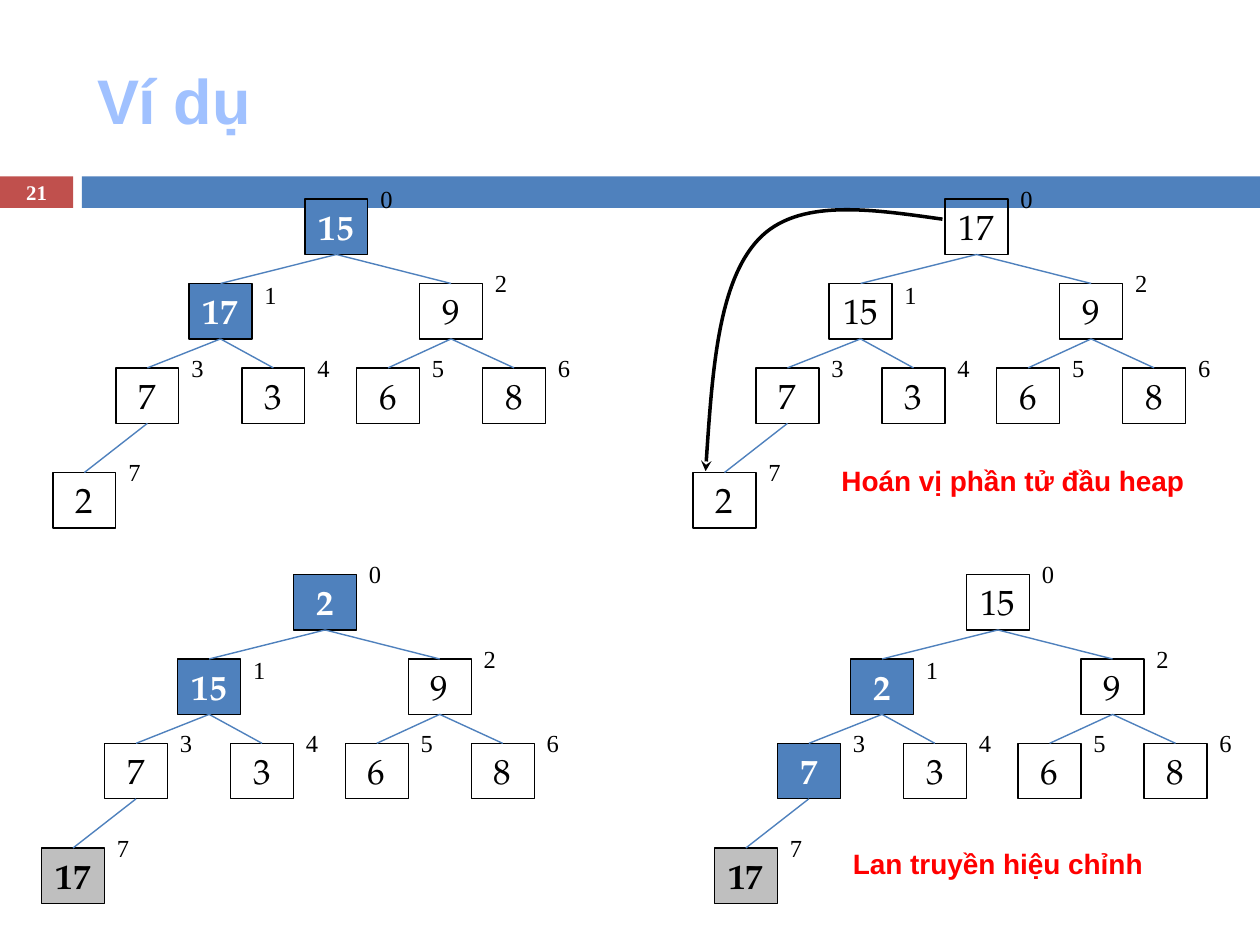
import lxml.etree
import pptx
import pptx.dml.color
import pptx.enum.shapes
import pptx.enum.text
import pptx.oxml
import pptx.oxml.ns
import pptx.util

Inches = pptx.util.Inches
Pt = pptx.util.Pt
qn = pptx.oxml.ns.qn
Anchor = pptx.enum.text.MSO_ANCHOR
Align = pptx.enum.text.PP_ALIGN
AutoSize = pptx.enum.text.MSO_AUTO_SIZE

COLORS = {
    "blue": "4F81BD", "red": "C0504D", "gray": "BFBFBF", "white": "FFFFFF",
    "black": "000000", "title": "A0C1FF", "caption": "FF0000",
}
TITLE = {"name": "Arial", "size": Pt(36), "bold": True}
CAPTION = {"name": "Arial", "size": Pt(16), "bold": True}
INDEX = {"name": "Times New Roman", "size": Pt(14), "bold": False}
NUMBER = {"name": "Times New Roman", "size": Pt(11.9), "bold": True}
PLAIN = {"name": "TeX Gyre Pagella", "size": Pt(20), "bold": False}
STRONG = {**PLAIN, "bold": True}

# Node state: fill, text colour, font
STATES = {
    "plain": (None, "black", PLAIN),
    "active": ("blue", "white", STRONG),
    "done": ("gray", "black", STRONG),
}
NODE_WIDTH, NODE_HEIGHT = 0.5, 0.44
# Node places relative to the root, in heap order
OFFSETS = [(0, 0), (-0.92, 0.67), (0.91, 0.67), (-1.5, 1.34), (-0.5, 1.34),
           (0.41, 1.34), (1.41, 1.34), (-2, 2.17)]

# Each heap: root place, values, states by index
HEAPS = [
    ((2.42, 1.58), [15, 17, 9, 7, 3, 6, 8, 2], {0: "active", 1: "active"}),
    ((7.5, 1.58), [17, 15, 9, 7, 3, 6, 8, 2], {}),
    ((2.33, 4.56), [2, 15, 9, 7, 3, 6, 8, 17],
     {0: "active", 1: "active", 7: "done"}),
    ((7.67, 4.56), [15, 2, 9, 7, 3, 6, 8, 17],
     {1: "active", 3: "active", 7: "done"}),
]


class HeapSlide:
    def __init__(self, deck):
        self.page = deck.slides.add_slide(deck.slide_layouts[5])
        self.shapes = self.page.shapes

    def color(self, name):
        return pptx.dml.color.RGBColor.from_string(COLORS[name])

    def set_text(self, box, text, style, color, align=Align.LEFT,
                 anchor=Anchor.TOP, auto_size=AutoSize.SHAPE_TO_FIT_TEXT):
        frame = box.text_frame
        settings = {"word_wrap": True, "vertical_anchor": anchor,
                    "auto_size": auto_size}
        for key, value in settings.items():
            setattr(frame, key, value)
        para = frame.paragraphs[0]
        para.alignment = align
        span = para.add_run()
        span.text = text
        for key, value in style.items():
            setattr(span.font, key, value)
        span.font.color.rgb = self.color(color)

    def title(self, text, *place):
        box = self.shapes.title
        for key, value in zip(("left", "top", "width", "height"), place):
            setattr(box, key, Inches(value))
        self.set_text(box, text, TITLE, "title", anchor=Anchor.MIDDLE,
                      auto_size=AutoSize.NONE)

    def text(self, text, place, style, color="black", **layout):
        box = self.shapes.add_textbox(*map(Inches, place))
        self.set_text(box, text, style, color, **layout)

    def rectangle(self, place, fill=None, line=None):
        box = self.shapes.add_shape(
            pptx.enum.shapes.MSO_SHAPE.RECTANGLE, *map(Inches, place))
        box.shadow.inherit = False
        if fill:
            box.fill.solid()
            box.fill.fore_color.rgb = self.color(fill)
        else:
            box.fill.background()
        if line:
            box.line.color.rgb = self.color(line)
            box.line.width = Pt(0.75)
        else:
            box.line.fill.background()
        return box

    def edge(self, parent, child):
        line = self.shapes.add_connector(
            pptx.enum.shapes.MSO_CONNECTOR.STRAIGHT, 0, 0, 0, 0)
        line.begin_connect(parent, 2)
        line.end_connect(child, 0)
        line.line.color.rgb = self.color("blue")
        line.line.width = Pt(0.79)
        lxml.etree.SubElement(line._element.spPr, qn("a:effectLst"))

    def curved_arrow(self, start, *points):
        """Draw cubic curves; every three points after the start make one."""
        builder = self.shapes.build_freeform(*map(Inches, start), scale=1.0)
        builder.add_line_segments(
            [tuple(map(Inches, point)) for point in points], close=False)
        curve = builder.convert_to_shape()
        curve.shadow.inherit = False
        curve.fill.background()
        curve.line.color.rgb = self.color("black")
        curve.line.width = Pt(2)
        lxml.etree.SubElement(curve.line._get_or_add_ln(), qn("a:tailEnd"),
                              type="stealth")
        # Turn the straight segments into Bezier curves
        segments = list(curve._element.iter(qn("a:lnTo")))
        for first in range(0, len(segments), 3):
            group = segments[first:first + 3]
            bezier = lxml.etree.Element(qn("a:cubicBezTo"))
            group[0].addprevious(bezier)
            for segment in group:
                bezier.append(segment[0])
                segment.getparent().remove(segment)

    def heap(self, root, values, states):
        nodes = []
        for index, (value, (dx, dy)) in enumerate(zip(values, OFFSETS)):
            left, top = root[0] + dx, root[1] + dy
            fill, color, style = STATES[states.get(index, "plain")]
            node = self.rectangle((left, top, NODE_WIDTH, NODE_HEIGHT),
                                  fill, "black")
            self.set_text(node, str(value), style, color, Align.CENTER)
            nodes.append(node)
            rise = 0.08 if index == 1 else 0.17
            self.text(str(index), (left + NODE_WIDTH, top - rise, 0.25, 0.34),
                      INDEX)
        for index in range(1, len(nodes)):
            self.edge(nodes[(index - 1) // 2], nodes[index])


def main():
    deck = pptx.Presentation()
    deck.slide_width, deck.slide_height = Inches(10), Inches(7.5)
    slide = HeapSlide(deck)

    # Header band, title and slide number
    slide.rectangle((0, 1.4, 0.58, 0.25), "red")
    slide.rectangle((0.65, 1.4, 9.35, 0.25), "blue")
    slide.title("Ví dụ", 0.67, 0.25, 8.92, 1.08)
    slide.text("21", (0, 1.39, 0.58, 0.27), NUMBER, "white",
               align=Align.CENTER, anchor=Anchor.MIDDLE,
               auto_size=AutoSize.NONE)

    # The four heaps
    for root, values, states in HEAPS:
        slide.heap(root, values, states)

    # Swap arrow from the root to the last node
    slide.curved_arrow((7.48, 1.74), (6.91, 1.66), (6.33, 1.57), (6.02, 1.9),
                       (5.7, 2.24), (5.65, 2.99), (5.6, 3.74))

    # Captions
    slide.text("Hoán vị phần tử đầu heap", (6.58, 3.63, 3.42, 0.37),
               CAPTION, "caption")
    slide.text("Lan truyền hiệu chỉnh", (6.67, 6.67, 2.83, 0.37),
               CAPTION, "caption")

    deck.save("out.pptx")


if __name__ == "__main__":
    main()
